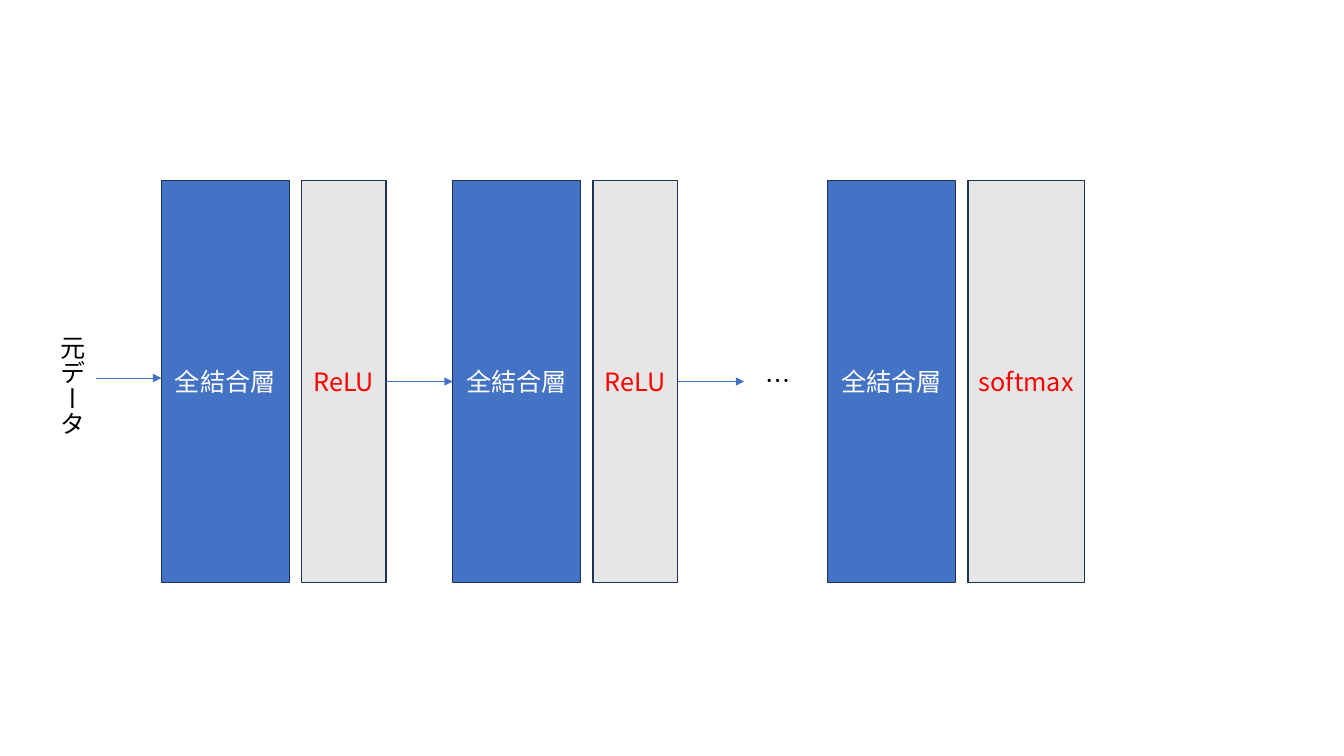
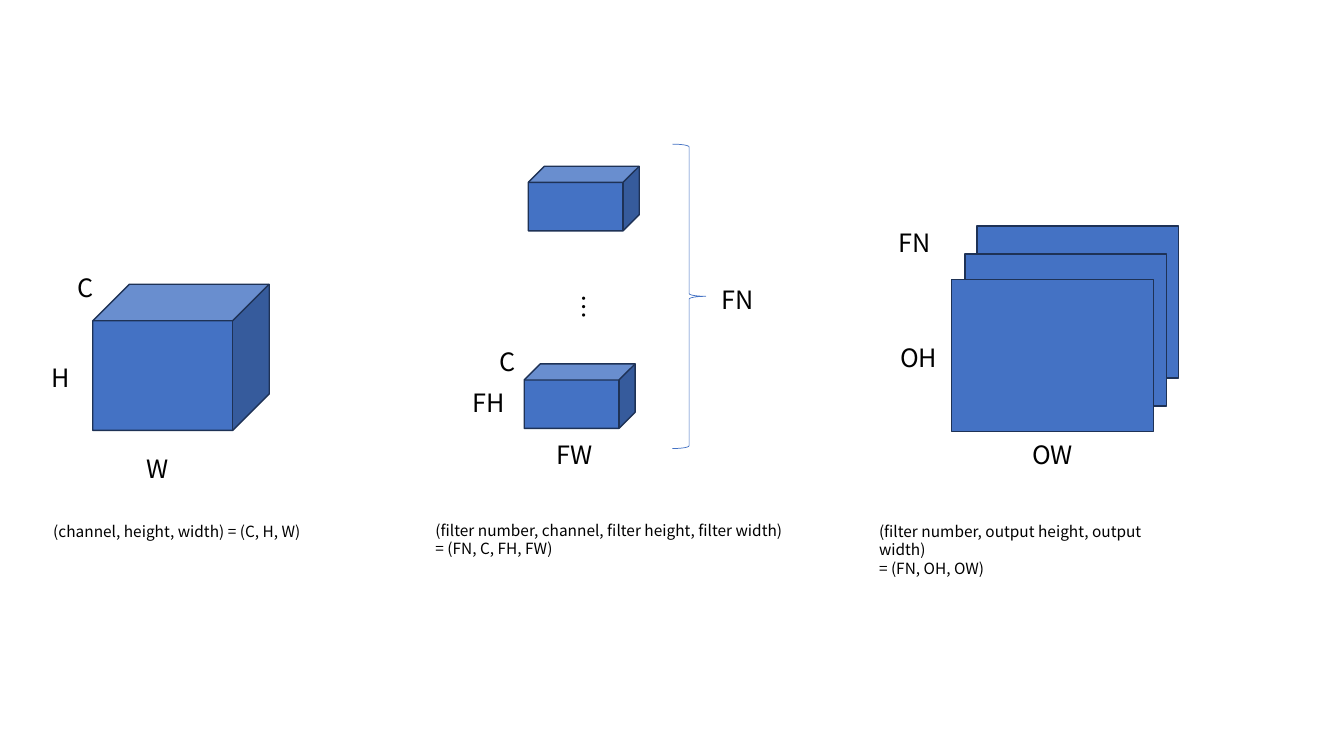
from lxml import etree
from pptx import Presentation
from pptx import util as u
from pptx.dml.color import RGBColor
from pptx.enum import shapes, text
from pptx.oxml.ns import qn

PX = 9144  # EMU per px, 100 px to the inch
BLUE = RGBColor(0x44, 0x72, 0xC4)
NAVY = RGBColor(0x1E, 0x32, 0x56)
GREY = RGBColor(0xE7, 0xE6, 0xE6)
RED = RGBColor(0xFF, 0x00, 0x00)
WHITE = RGBColor(0xFF, 0xFF, 0xFF)
BLACK = RGBColor(0x00, 0x00, 0x00)
FONT = "Noto Sans CJK JP"
KIND = shapes.MSO_SHAPE

# Slide 1: network layers, as (left, activation, activation width)
LAYERS = [(160, "ReLU", 84), (449, "ReLU", 84), (821, "softmax", 116)]
LAYER_TOP, LAYER_HEIGHT = 179, 399
DENSE_WIDTH, LAYER_GAP = 127, 12
ARROW_LENGTH = 66
INPUT_ARROW = (95, 375, 160, 375)
NETWORK_LABELS = [("…", (749, 358, 45, 40), False),
                  ("元データ", (42, 323, 50, 111), True)]

# Slide 2: tensors of a convolution, from back to front
TENSORS = [
    (KIND.CUBE, (92, 282, 175, 145)),
    (KIND.CUBE, (520, 361, 110, 64)),
    (KIND.CUBE, (524, 165, 110, 64)),
    (KIND.RECTANGLE, (969, 224, 200, 151)),
    (KIND.RECTANGLE, (957, 252, 200, 151)),
    (KIND.RECTANGLE, (944, 277, 200, 151)),
]
FILTER_BRACE = (667, 143, 33, 302)
TENSOR_LABELS = [
    ("W", (136, 445, 44, 40), False),
    ("H", (41, 355, 39, 40), False),
    ("C", (67, 265, 37, 40), False),
    ("C", (486, 339, 37, 40), False),
    ("FW", (542, 431, 59, 40), False),
    ("FH", (459, 379, 54, 40), False),
    ("…", (550, 282, 50, 35), True),
    ("FN", (706, 277, 55, 40), False),
    ("FN", (881, 221, 55, 40), False),
    ("OH", (883, 335, 57, 40), False),
    ("OW", (1014, 431, 62, 40), False),
]
CAPTIONS = [
    (["(channel, height, width) = (C, H, W)"], (43, 513, 274, 29)),
    (["(filter number, channel, filter height, filter width)",
      "= (FN, C, FH, FW)"], (422, 512, 368, 47)),
    (["(filter number, output height, output width)",
      "= (FN, OH, OW)"], (862, 513, 326, 47)),
]


def emu(lengths):
    return [round(length * PX) for length in lengths]


def write(frame, lines, size, color, align=None):
    for index, line in enumerate(lines):
        paragraph = frame.add_paragraph() if index else frame.paragraphs[0]
        paragraph.alignment = align
        run = paragraph.add_run()
        run.text = line
        for name, value in {"size": u.Pt(size), "name": FONT}.items():
            setattr(run.font, name, value)
        run.font.color.rgb = color
    # East Asian glyphs take their own typeface setting
    for properties in frame._txBody.iter(qn("a:rPr")):
        etree.SubElement(properties, qn("a:ea"), typeface=FONT)


def add_block(slide, kind, box, fill=BLUE, label=None, color=WHITE):
    shape = slide.shapes.add_shape(kind, *emu(box))
    shape.shadow.inherit = False
    shape.fill.solid()
    shape.fill.fore_color.rgb = fill
    shape.line.color.rgb = NAVY
    shape.line.width = u.Pt(1)
    if label:
        shape.text_frame.vertical_anchor = text.MSO_ANCHOR.MIDDLE
        write(shape.text_frame, [label], 18, color, text.PP_ALIGN.CENTER)
    return shape


def add_text(slide, lines, box, size=18, vertical=False, wrap=False):
    frame = slide.shapes.add_textbox(*emu(box)).text_frame
    settings = {"word_wrap": wrap,
                "auto_size": text.MSO_AUTO_SIZE.SHAPE_TO_FIT_TEXT}
    for name, value in settings.items():
        setattr(frame, name, value)
    if vertical:
        frame._txBody.bodyPr.set("vert", "eaVert")
    write(frame, lines, size, BLACK)


def add_labels(slide, labels):
    for label, box, vertical in labels:
        add_text(slide, [label], box, vertical=vertical)


def add_arrow(slide, ends):
    arrow = slide.shapes.add_connector(shapes.MSO_CONNECTOR.STRAIGHT, *emu(ends))
    arrow.line.color.rgb = BLUE
    arrow.line.width = u.Pt(0.5)
    etree.SubElement(arrow.line._get_or_add_ln(), qn("a:tailEnd"), type="triangle")
    etree.SubElement(arrow._element.spPr, qn("a:effectLst"))
    return arrow


def build_network(slide):
    # Each dense layer is followed by its activation
    pairs = []
    for left, activation, width in LAYERS:
        dense = add_block(slide, KIND.RECTANGLE,
                          (left, LAYER_TOP, DENSE_WIDTH, LAYER_HEIGHT),
                          BLUE, "全結合層")
        active = add_block(slide, KIND.RECTANGLE,
                           (left + DENSE_WIDTH + LAYER_GAP, LAYER_TOP,
                            width, LAYER_HEIGHT), GREY, activation, RED)
        pairs.append((dense, active))

    # Arrows: into the network, between layers, towards the ellipsis
    add_arrow(slide, INPUT_ARROW)
    middle = LAYER_TOP + LAYER_HEIGHT / 2
    for index, (left, _, width) in enumerate(LAYERS[:-1]):
        start = left + DENSE_WIDTH + LAYER_GAP + width
        arrow = add_arrow(slide, (start, middle, start + ARROW_LENGTH, middle))
        arrow.begin_connect(pairs[index][1], 3)
        if index == 0:
            arrow.end_connect(pairs[1][0], 1)
    add_labels(slide, NETWORK_LABELS)


def build_convolution(slide):
    for kind, box in TENSORS:
        add_block(slide, kind, box)

    # Brace around the filters
    brace = slide.shapes.add_shape(KIND.RIGHT_BRACE, *emu(FILTER_BRACE))
    brace.shadow.inherit = False
    brace.fill.background()
    brace.line.color.rgb = BLUE
    brace.line.width = u.Pt(0.5)

    add_labels(slide, TENSOR_LABELS)
    for lines, box in CAPTIONS:
        add_text(slide, lines, box, size=11, wrap=True)


def main():
    presentation = Presentation()
    presentation.slide_width, presentation.slide_height = emu((1333, 750))
    blank = presentation.slide_layouts[6]
    for build in (build_network, build_convolution):
        build(presentation.slides.add_slide(blank))
    presentation.save("out.pptx")


if __name__ == "__main__":
    main()
